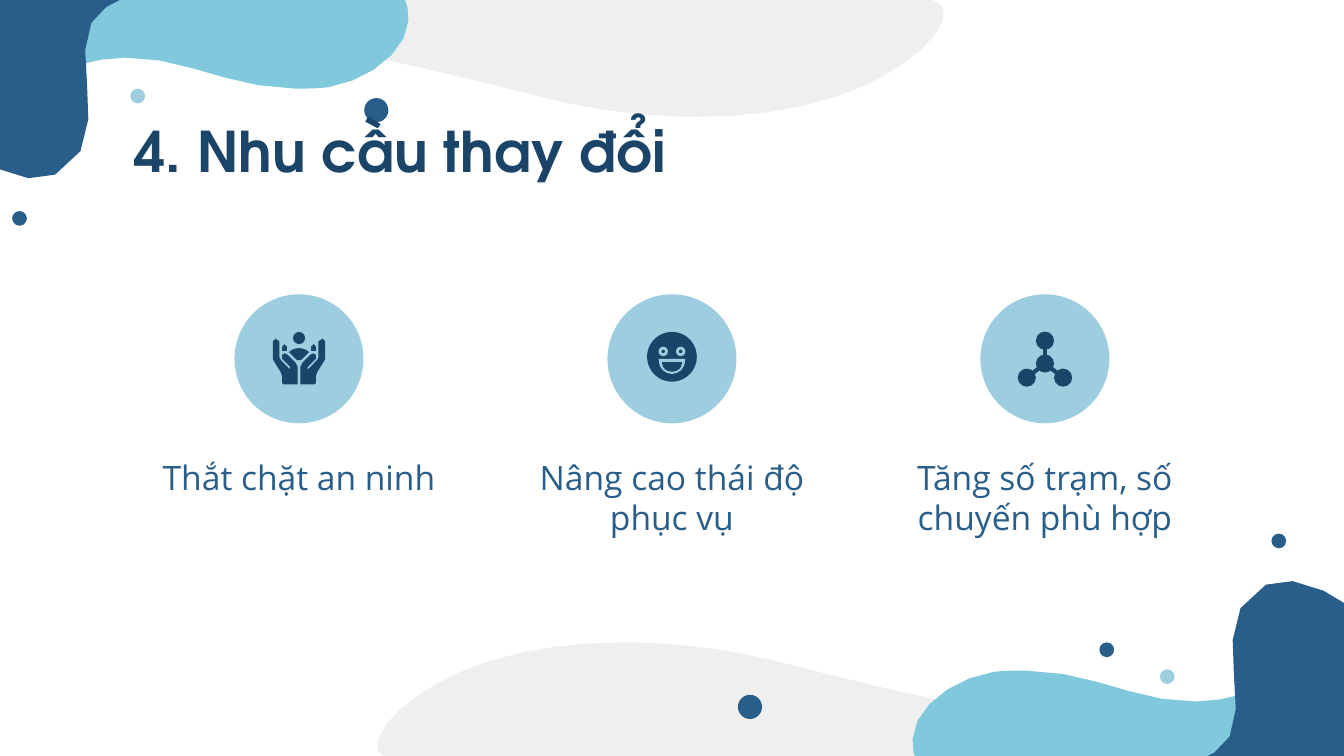
from pptx import Presentation
from pptx.dml.color import RGBColor as RGB
from pptx.enum.shapes import MSO_CONNECTOR as CONN, MSO_SHAPE as SHAPE
from pptx.enum.text import MSO_ANCHOR as ANCHOR, PP_ALIGN as ALIGN
from pptx.oxml.ns import qn
from pptx.util import Inches, Pt
from lxml.etree import SubElement

HUE = dict(navy="1A4568", blue="285E89", sky="9DCEDF", teal="80C9DD", grey="EFEFEF")
WIDE = Inches(10)
HIGH = WIDE * 9 // 16
UNIT = WIDE // 1000
INSET = dict(margin_left=Inches(0.1), margin_right=Inches(0.1), margin_top=Inches(0.1),
             margin_bottom=Inches(0.1), word_wrap=True, vertical_anchor=ANCHOR.TOP)

BLOBS = [
    ("grey", "M -47 -6 L 92 -9 L 323 -6 L 661 -4 C 681 -4 707 -2 702 14 "
     "C 696 34 666 53 643 64 C 607 80 563 87 520 87 C 495 87 473 85 451 82 "
     "C 424 78 397 71 370 64 C 302 47 232 31 161 24 L 43 19 L -47 21"),
    ("teal", "M 220 66 C 228 66 236 66 244 65 C 275 60 303 38 304 15 "
     "C 305 0 295 -23 268 -34 L 241 -40 L 221 -38 L -11 -15 L -32 -15 L -23 20 "
     "L 9 55 L 22 57 C 42 57 62 43 93 43 C 137 42 171 66 220 66"),
    ("blue", "M 124 -57 L 130 -30 C 124 -3 82 -8 68 17 C 52 45 87 108 41 130 "
     "C 12 144 -41 106 -64 73 L -74 53 L -48 20 L 47 -46 L 97 -72 L 106 -72"),
]
DOTS = [("blue", 549, 517, 18), ("sky", 863, 498, 11), ("blue", 946, 397, 11),
        ("blue", 818, 478, 11), ("sky", 97, 66, 11), ("blue", 271, 73, 18),
        ("blue", 9, 157, 11)]
HAND = ("M 5 5 L 3 7 L 3 20 L 4 22 L 9 30 L 10 33 L 10 38 L 11 39 L 21.5 39 L 21.5 26 "
        "L 20 23 L 14 17 L 12 16 L 10 17 L 10 20 L 16 26 L 16 28 L 15 27 L 9 21 "
        "L 8 19 L 8 7")
ARM = "M 11.5 9 L 10 11 L 10 14 L 13.5 14 L 13.5 11"
BODY = "M 22.5 12 C 20 12 17 13 15 15 L 21 21 L 24 21 L 30 15 C 28 13 25 12 22.5 12"


def trace(text, steps=5):
    """Turn path text into a list of points, with curves sampled."""
    pts = []
    for part in text.replace("C", "|C").replace("L", "|L").split("|"):
        nums = [float(n) for n in part.split()[1:]]
        pairs = list(zip(nums[::2], nums[1::2]))
        if part[0] != "C":
            pts += pairs
            continue
        ends = [pts[-1]] + pairs
        for i in range(1, steps + 1):
            t = i / steps
            mix = ((1 - t) ** 3, 3 * t * (1 - t) ** 2, 3 * t * t * (1 - t), t ** 3)
            pts.append(tuple(sum(m * e[k] for m, e in zip(mix, ends)) for k in (0, 1)))
    return pts


def paint(shape, hue):
    """Give a shape a plain fill."""
    shape.shadow.inherit = False
    shape.fill.solid()
    shape.fill.fore_color.rgb = RGB.from_string(HUE[hue])
    shape.line.fill.background()


def blob(slide, pts, hue, box=(0, 0)):
    """Draw a closed outline from points in units of the box."""
    spots = [(round((box[0] + x) * UNIT), round((box[1] + y) * UNIT)) for x, y in pts]
    pen = slide.shapes.build_freeform(*spots[0], scale=1.0)
    pen.add_line_segments(spots[1:], close=True)
    paint(pen.convert_to_shape(), hue)


def disc(slide, hue, x, y, size):
    """Draw a circle from its top left corner."""
    spot = [round(n * UNIT) for n in (x, y, size, size)]
    paint(slide.shapes.add_shape(SHAPE.OVAL, *spot), hue)


def ball(slide, hue, x, y, size):
    """Draw a circle around a centre."""
    disc(slide, hue, x - size / 2, y - size / 2, size)


def write(shape, text, font, size, hue, align, bold=False):
    """Put formatted text in a shape."""
    frame = shape.text_frame
    for key, val in INSET.items():
        setattr(frame, key, val)
    para = frame.paragraphs[0]
    para.alignment = align
    run = para.add_run()
    run.text = text
    for key, val in dict(name=font, size=Pt(size), bold=bold).items():
        setattr(run.font, key, val)
    run.font.color.rgb = RGB.from_string(HUE[hue])


def decor(slide):
    """Draw both corners, one a half turn of the other, and the dots."""
    for turn in (True, False):
        for hue, text in BLOBS:
            pts = trace(text)
            blob(slide, [(983 - x, 565 - y) for x, y in pts] if turn else pts, hue)
    for dot in DOTS:
        disc(slide, *dot)


def hands(slide, x, y):
    """Draw two hands around a person."""
    box = (x - 22.5, y - 20)
    for text in (HAND, ARM):
        pts = trace(text)
        blob(slide, pts, "navy", box)
        blob(slide, [(45 - a, b) for a, b in pts], "navy", box)
    blob(slide, trace(BODY, 3), "navy", box)
    ball(slide, "navy", x, y - 15.5, 9)


def smile(slide, x, y):
    """Draw a smiling face."""
    ball(slide, "navy", x, y - 1.5, 37)
    for side in (-6.5, 6.5):
        ball(slide, "sky", x + side, y - 5.5, 7)
        ball(slide, "navy", x + side, y - 5.5, 2.5)
    for hue, r, top, low in (("sky", 10, 0, 15), ("navy", 7.5, 2.5, 12)):
        mouth = f"M {-r} {top} C {-r} {low} {r} {low} {r} {top}"
        blob(slide, trace(mouth, 8), hue, (x, y))


def nodes(slide, x, y):
    """Draw three nodes joined to a hub."""
    hub = (x, y + 3.5)
    for a, b in ((0, -13.5), (-13.5, 14), (13.5, 14)):
        ends = [round(n * UNIT) for n in (*hub, x + a, y + b)]
        line = slide.shapes.add_connector(CONN.STRAIGHT, *ends)
        line.line.width = Pt(2.25)
        line.line.color.rgb = RGB.from_string(HUE["navy"])
        SubElement(line._element.spPr, qn("a:effectLst"))
        ball(slide, "navy", x + a, y + b, 13.5)
    ball(slide, "navy", *hub, 13.5)


def card(slide, left, top, wide, text, icon):
    """Place an icon in a circle over its label."""
    mid = left + wide / 2
    ball(slide, "sky", mid, top + 48, 96)
    icon(slide, mid, top + 48)
    spot = [round(n * UNIT) for n in (left, top + 111, wide, 68)]
    write(slide.shapes.add_textbox(*spot), text, "Open Sans", 18, "blue", ALIGN.CENTER)


def head(slide, text):
    """Move and format the title."""
    title = slide.shapes.title
    slide.shapes._spTree.append(title._element)
    for key, val in dict(left=90, top=77, width=529, height=63).items():
        setattr(title, key, val * UNIT)
    write(title, text, "TeX Gyre Adventor", 30, "navy", ALIGN.LEFT, True)


deck = Presentation()
deck.slide_width, deck.slide_height = WIDE, HIGH
page = deck.slides.add_slide(deck.slide_layouts[5])
decor(page)
head(page, "4. Nhu cầu thay đổi")
CARDS = [("Thắt chặt an ninh", hands), ("Nâng cao thái độ phục vụ", smile),
         ("Tăng số trạm, số chuyến phù hợp", nodes)]
for col, (label, icon) in enumerate(CARDS):
    card(page, 103.5 + 277.5 * col, 219, 238, label, icon)
deck.save("out.pptx")
